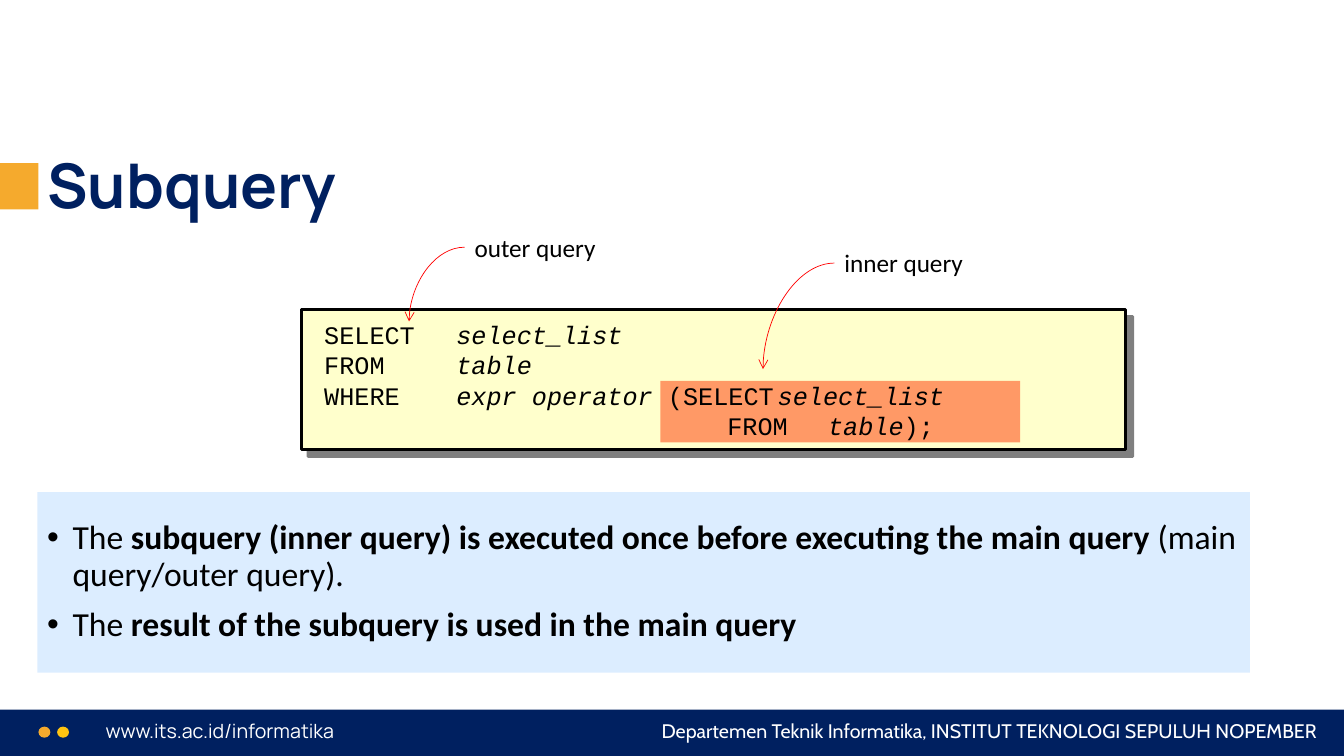
from lxml import etree
from pptx import Presentation
from pptx.dml.color import RGBColor
from pptx.enum import shapes, text
from pptx.oxml.ns import qn
from pptx.util import Cm, Pt

# Content: positions and sizes in cm
TITLE = "Subquery"
FOOTER = [  # wording, font, box, alignment
    ("www.its.ac.id/informatika", "Manrope", (2.41, 17.98, 10.87, 0.86), "LEFT"),
    ("Departemen Teknik Informatika, INSTITUT TEKNOLOGI SEPULUH NOPEMBER",
     "Cabin", (15.01, 17.98, 18.44, 0.86), "RIGHT"),
]
CODE = [  # tab stops, then (wording, italic) runs
    ([3.33], [("SELECT\t", False), ("select_list", True)]),
    ([3.33], [("FROM\t", False), ("table", True)]),
    ([3.33, 11.43], [("WHERE\t", False), ("expr operator", True),
                     (" (SELECT\t", False), ("select_list", True)]),
    ([10.16, 12.7], [("\tFROM\t", False), ("table", True), (");", False)]),
]
NOTES = [  # (wording, bold) runs
    [("The ", False),
     ("subquery (inner query) is executed once before executing the main query ", True),
     ("(main query/outer query).", False)],
    [("The ", False), ("result of the subquery is used in the main query", True)],
]
CALLOUTS = [  # wording, label corner, arrow tip
    ("inner query", (21.03, 6.12), (19.23, 9.3)),
    ("outer query", (11.71, 5.72), (10.31, 8.1)),
]
LABEL_W, LABEL_H = 3.99, 1.02

THEME = {
    "navy": "002060", "orange": "F5AA2D", "yellow": "FFC411", "white": "FFFFFF",
    "ink": "000000", "code": "FFFFCC", "highlight": "FF9966", "notes": "99CCFF",
    "arrow": "FF0000",
    "title_pt": 44, "notes_pt": 24, "body_pt": 18, "footer_pt": 14,
    "head": "Manrope", "body": "Calibri", "mono": "Courier New",
}

prs = Presentation()
prs.slide_width, prs.slide_height = Cm(33.87), Cm(19.05)
slide = prs.slides.add_slide(prs.slide_layouts[6])


def rgb(name):
    return RGBColor.from_string(THEME[name])


def child(parent, tag, **attrs):
    return etree.SubElement(parent, qn(tag), {k: str(v) for k, v in attrs.items()})


def add_block(box, fill, kind="RECTANGLE"):
    sp = slide.shapes.add_shape(shapes.MSO_SHAPE[kind], *map(Cm, box))
    sp.shadow.inherit = False
    sp.fill.solid()
    sp.fill.fore_color.rgb = rgb(fill)
    sp.line.fill.background()
    return sp


def add_text(box, anchor="TOP"):
    tf = slide.shapes.add_textbox(*map(Cm, box)).text_frame
    tf.word_wrap = True
    tf.vertical_anchor = text.MSO_ANCHOR[anchor]
    return tf


def style(p, font, size, color="ink", bold=None, align="LEFT"):
    p.alignment = text.PP_ALIGN[align]
    p.font.name, p.font.size, p.font.bold = font, Pt(THEME[size]), bold
    p.font.color.rgb = rgb(color)


def paragraphs(tf, items):
    for i, item in enumerate(items):
        yield (tf.add_paragraph() if i else tf.paragraphs[0]), item


# Footer
add_block((0, 17.88, 33.87, 1.17), "navy")
for i, color in enumerate(("orange", "yellow")):
    add_block((0.97 + i * 0.47, 18.31, 0.3, 0.28), color, "OVAL")
for wording, font, box, align in FOOTER:
    p = add_text(box).paragraphs[0]
    p.add_run().text = wording
    style(p, font, "footer_pt", "white", align=align)

# Title with accent square
add_block((0, 4.11, 0.97, 1.17), "orange")
p = add_text((0.94, 3.51, 32.16, 2.21), "BOTTOM").paragraphs[0]
p.add_run().text = TITLE
p.line_spacing = 0.9
style(p, THEME["head"], "title_pt", "navy", bold=True)

# Bulleted notes on a translucent panel
panel = add_block((0.94, 12.4, 30.56, 4.55), "notes")
child(panel.fill._xPr.find(qn("a:solidFill"))[0], "a:alpha", val=34000)
tf = panel.text_frame
tf.word_wrap = True
tf.vertical_anchor = text.MSO_ANCHOR.MIDDLE
for p, runs in paragraphs(tf, NOTES):
    pPr = p._p.get_or_add_pPr()
    pPr.set("marL", str(Cm(0.64)))
    pPr.set("indent", str(-Cm(0.64)))
    child(pPr, "a:buFont", typeface="Arial")
    child(pPr, "a:buChar", char="•")
    p.line_spacing = 0.9
    p.space_before = Pt(10 if p._p is not tf.paragraphs[0]._p else 0)
    style(p, THEME["body"], "notes_pt")
    for wording, bold in runs:
        r = p.add_run()
        r.text, r.font.bold = wording, bold

# Code panel with hard shadow and highlighted inner query
panel = add_block((7.59, 7.8, 20.78, 3.53), "code")
panel.line.color.rgb, panel.line.width = rgb("ink"), Pt(2)
effects = panel._element.spPr.find(qn("a:effectLst"))
shadow = child(effects, "a:outerShdw", blurRad=0, dist=Pt(7.1), dir=45 * 60000,
               algn="ctr", rotWithShape=0)
child(child(shadow, "a:srgbClr", val=THEME["ink"]), "a:alpha", val=50000)
add_block((16.64, 9.6, 9.07, 1.55), "highlight")

for p, (stops, runs) in paragraphs(add_text((7.92, 7.77, 18.19, 3.61), "MIDDLE"), CODE):
    tabs = child(p._p.get_or_add_pPr(), "a:tabLst")
    for stop in stops:
        child(tabs, "a:tab", pos=Cm(stop), algn="l")
    style(p, THEME["mono"], "body_pt")
    for wording, italic in runs:
        r = p.add_run()
        r.text, r.font.italic = wording, italic

# Callouts: each arrow leaves the middle of its label's left edge
for wording, (x, y), tip in CALLOUTS:
    start = (x, y + LABEL_H / 2)
    arrow = slide.shapes.add_connector(shapes.MSO_CONNECTOR.CURVE, *map(Cm, start + tip))
    arrow.line.color.rgb, arrow.line.width = rgb("arrow"), Pt(0.5)
    spPr = arrow._element.spPr
    spPr.find(qn("a:prstGeom")).set("prst", "curvedConnector2")
    child(spPr.find(qn("a:ln")), "a:tailEnd", type="arrow")
    child(spPr, "a:effectLst")
    p = add_text((x, y, LABEL_W, LABEL_H)).paragraphs[0]
    p.add_run().text = wording
    style(p, THEME["body"], "body_pt")

prs.save("out.pptx")
